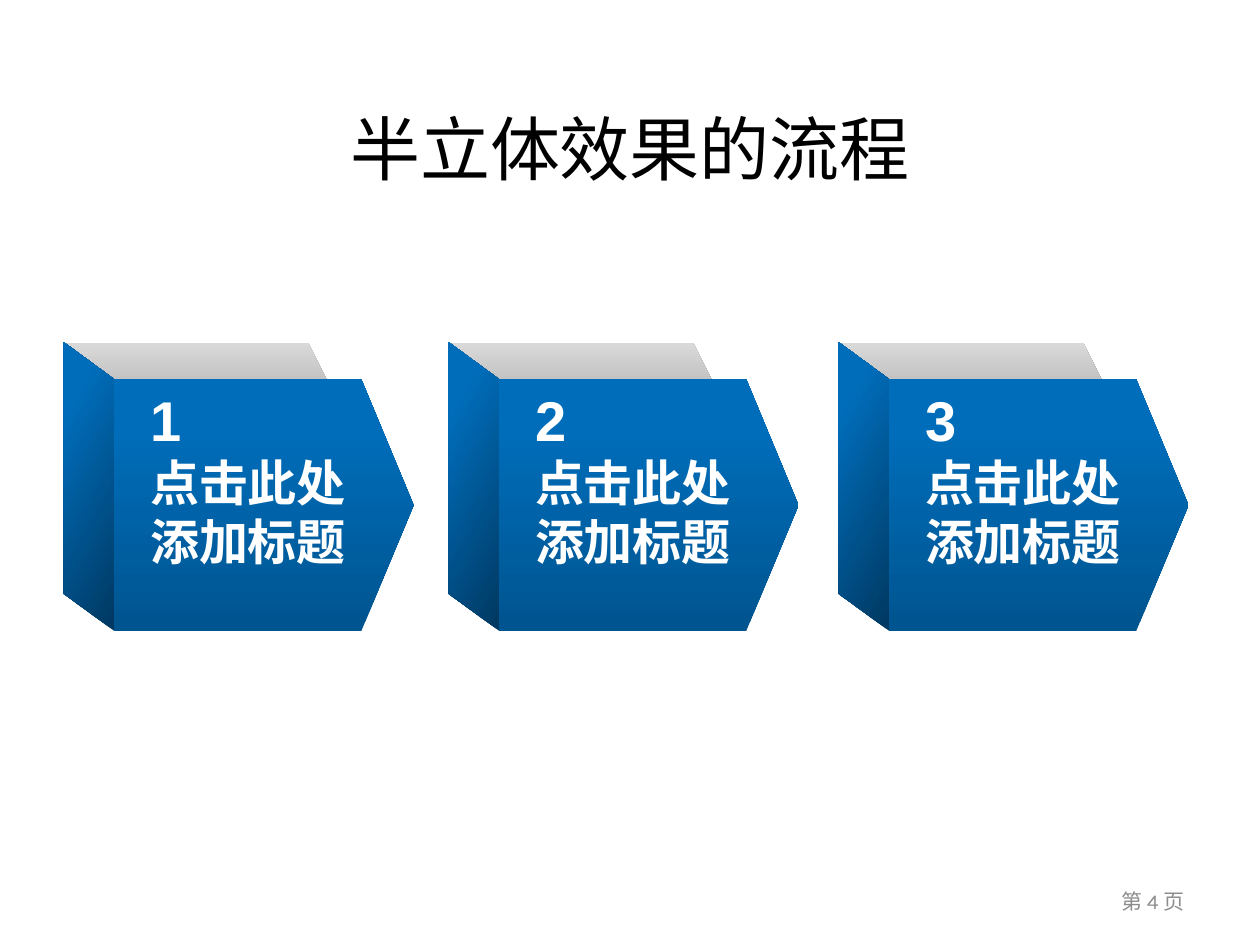
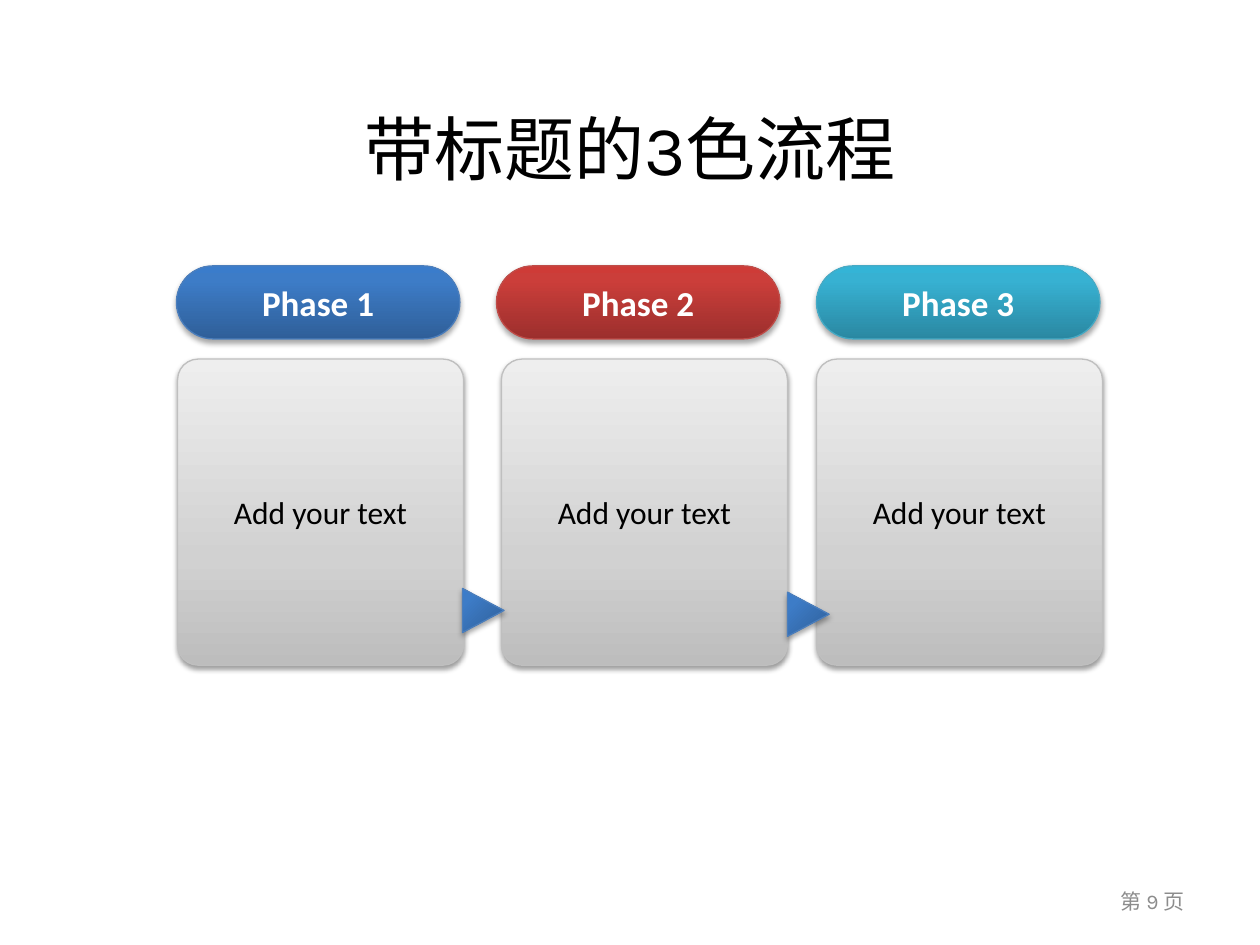
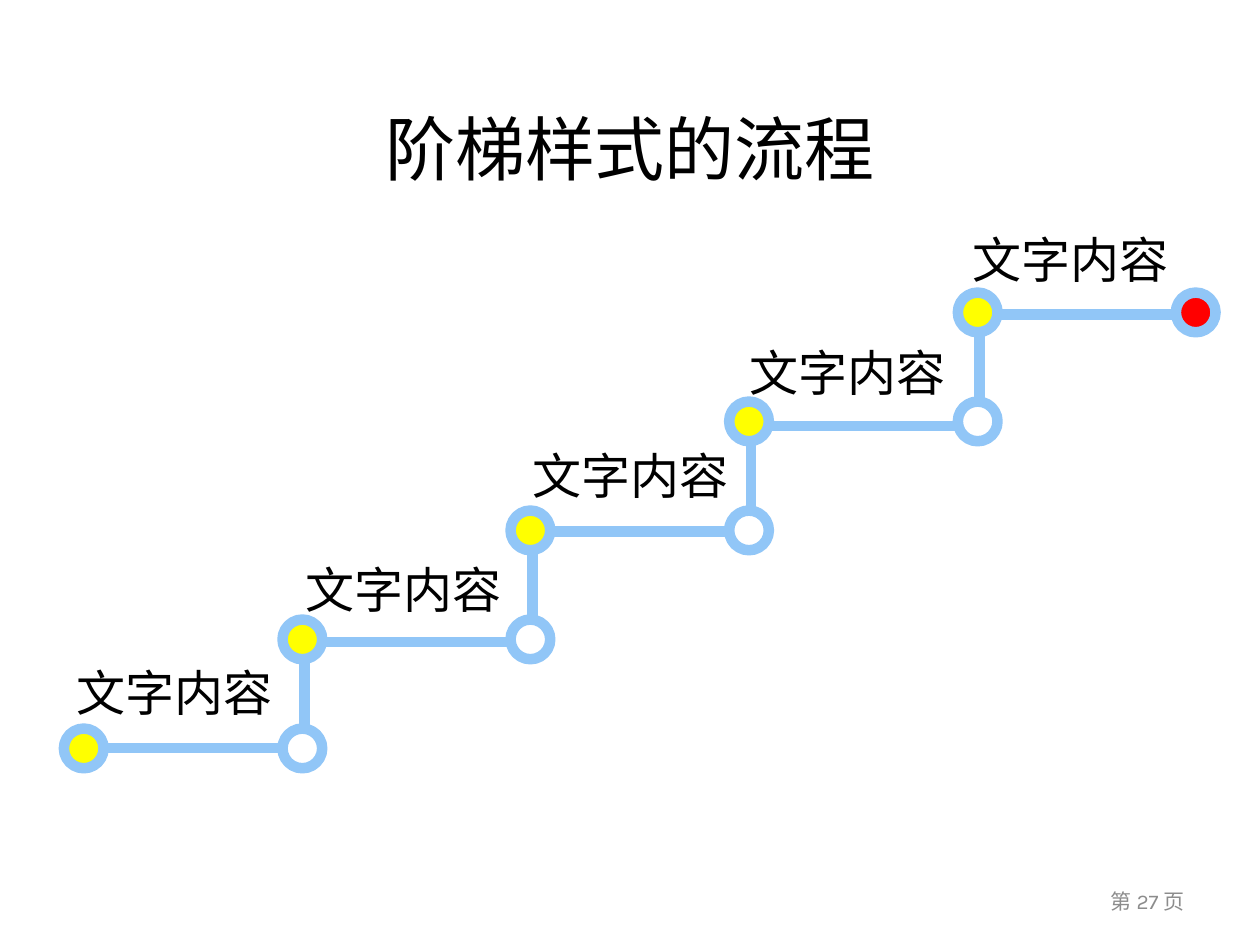
from lxml.etree import SubElement
from pptx import Presentation
from pptx.dml.color import RGBColor
from pptx.enum.shapes import MSO_CONNECTOR, MSO_SHAPE
from pptx.enum.text import MSO_ANCHOR, MSO_AUTO_SIZE, PP_ALIGN
from pptx.oxml.ns import qn
from pptx.util import Inches, Pt

deck = Presentation()
deck.slide_width, deck.slide_height = Inches(10), Inches(7.5)
COLUMN, ROW = deck.slide_width // 100, deck.slide_height // 75

rgb = RGBColor.from_string
TITLE = {"name": "Karla", "size": Pt(40)}
FOOTER = {"name": "Karla", "size": Pt(12)}
NUMBER = {"name": "Arial", "size": Pt(32), "bold": True}
CAPTION = {"name": "Arial", "size": Pt(28), "bold": True}
PHASE = {"name": "Calibri", "size": Pt(20), "bold": True}
BODY = {"name": "Calibri", "size": Pt(18)}
LABEL = {"name": "Cambria", "size": Pt(28)}

LID = [(0, "808080"), (80, "BFBFBF"), (100, "D9D9D9")]
FRONT = [(0, "00548F"), (80, "006DBA"), (100, "006DBB")]
SIDE = [(0, "003860"), (80, "006DBA"), (100, "006DBB")]
BLUE = [(0, "2F5F99"), (80, "3D7CC7"), (100, "3A7CCB")]
RED = [(0, "9C2F2D"), (80, "CB3E3A"), (100, "CE3B37")]
TEAL = [(0, "2A88A2"), (80, "37B1D2"), (100, "34B4D6")]
GREY = [(0, "BDBDBD"), (35, "D1D1D1"), (100, "EEEEEE")]
BLUE_EDGE, RAIL = "4B7EBC", "91C6F7"
PILL_SHADOW, CARD_SHADOW = (35, 1.8), (38, 1.6)


def add_box(page, kind, area, fill, angle=270, edge=None, weight=0.75,
            shadow=None, adjust=None, rotation=0):
    left, top, width, height = area
    box = page.shapes.add_shape(kind, int(left * COLUMN), int(top * ROW),
                                int(width * COLUMN), int(height * ROW))
    box.rotation = rotation
    if adjust is not None:
        box.adjustments[0] = adjust
    if isinstance(fill, str):
        box.fill.solid()
        box.fill.fore_color.rgb = rgb(fill)
    else:
        box.fill.gradient()
        box.fill.gradient_angle = 360 - angle
        stops = box.element.spPr.find(".//" + qn("a:gsLst"))
        stops.clear()
        for position, colour in fill:
            stop = SubElement(stops, qn("a:gs"), pos=str(position * 1000))
            SubElement(stop, qn("a:srgbClr"), val=colour)
    if edge:
        box.line.color.rgb = rgb(edge)
        box.line.width = Pt(weight)
    else:
        box.line.fill.background()
    box.shadow.inherit = False
    if shadow:
        opacity, distance = shadow
        effects = box.element.spPr.find(qn("a:effectLst"))
        outer = SubElement(effects, qn("a:outerShdw"), blurRad=str(Pt(3.1)),
                           dist=str(Pt(distance)), dir="5400000", rotWithShape="0")
        colour = SubElement(outer, qn("a:srgbClr"), val="000000")
        SubElement(colour, qn("a:alpha"), val=str(opacity * 1000))
    return box


def write(box, lines, colour, align=PP_ALIGN.CENTER, anchor=MSO_ANCHOR.MIDDLE,
          wrap=True, margin=0):
    frame = box.text_frame
    frame.word_wrap, frame.vertical_anchor = wrap, anchor
    for index, (text, style) in enumerate(lines):
        para = frame.add_paragraph() if index else frame.paragraphs[0]
        para.alignment = align
        if margin:
            properties = para._p.get_or_add_pPr()
            properties.set("marL", str(Inches(margin)))
            properties.set("indent", "0")
        span = para.add_run()
        span.text = text
        span.font.color.rgb = rgb(colour)
        for name, value in style.items():
            setattr(span.font, name, value)


pages = []
for title, number in [("半立体效果的流程", 4), ("带标题的3色流程", 9), ("阶梯样式的流程", 27)]:
    page = deck.slides.add_slide(deck.slide_layouts[6])
    heading = page.shapes.add_textbox(5 * COLUMN, int(7.8 * ROW), 90 * COLUMN, int(7.8 * ROW))
    write(heading, [(title, TITLE)], "000000")
    footer = page.shapes.add_textbox(int(71.7 * COLUMN), int(69.5 * ROW),
                                     int(23.3 * COLUMN), 4 * ROW)
    write(footer, [(f"第 {number} 页", FOOTER)], "8C8C8C", PP_ALIGN.RIGHT)
    pages.append(page)
solid_page, phase_page, stair_page = pages

for number, left in enumerate([5.1, 15.65 + 20, 66.6], 1):
    add_box(solid_page, MSO_SHAPE.PENTAGON, (left, 27.2, 23.7, 17.4), LID, adjust=0.249)
    front = add_box(solid_page, MSO_SHAPE.PENTAGON, (left + 3.93, 30.1, 23.8, 20),
                    FRONT, adjust=0.208)
    write(front, [(str(number), NUMBER), ("点击此处添加标题", CAPTION)], "FFFFFF",
          PP_ALIGN.LEFT, MSO_ANCHOR.TOP, margin=0.19)
    add_box(solid_page, MSO_SHAPE.PARALLELOGRAM, (left - 9.5, 36.6, 22.9, 4), SIDE,
            angle=300, adjust=0.733, rotation=270)

phases = [(BLUE, BLUE_EDGE), (RED, "BF4C48"), (TEAL, "46AAC5")]
for index, (fill, edge) in enumerate(phases):
    pill = add_box(phase_page, MSO_SHAPE.ROUNDED_RECTANGLE, (14 + 25.4 * index, 21.1, 22.5, 5.8),
                   fill, edge=edge, shadow=PILL_SHADOW, adjust=0.5)
    write(pill, [(f"Phase {index + 1}", PHASE)], "FFFFFF", wrap=False)
for left in [14.1, 39.8, 64.8]:
    card = add_box(phase_page, MSO_SHAPE.ROUNDED_RECTANGLE, (left, 28.5, 22.7, 24.3),
                   GREY, edge="BFBFBF", shadow=CARD_SHADOW, adjust=0.072)
    write(card, [("Add your text", BODY)], "000000")
for left, top in [(36.6, 46.8), (62.4, 47.1)]:
    add_box(phase_page, MSO_SHAPE.FLOWCHART_EXTRACT, (left, top, 3.5, 3.3), BLUE,
            angle=135, edge=BLUE_EDGE, shadow=PILL_SHADOW, rotation=90)

NODE, RISE, BOTTOM = 3.15, 8.65, 59.4
node_x = [6.65, 24, 42.1, 59.45, 77.6, 94.9]
rail_y = [59.35, 50.95, 42.2, 33.8, 24.95]
label_corners = [(5.1, 52.1), (23.3, 43.9), (41.3, 34.9), (58.5, 26.7), (76.2, 17.7)]
last = len(rail_y) - 1
for step, (rail, (label_left, label_top)) in enumerate(zip(rail_y, label_corners)):
    start, end = node_x[step:step + 2]
    level = BOTTOM - RISE * step
    tracks = [(start, rail, end, rail)]
    if step < last:
        tracks.append((end + 0.15, level, end + 0.15, level - RISE))
    for x1, y1, x2, y2 in tracks:
        track = stair_page.shapes.add_connector(
            MSO_CONNECTOR.STRAIGHT, int(x1 * COLUMN), int(y1 * ROW),
            int(x2 * COLUMN), int(y2 * ROW))
        track.line.color.rgb = rgb(RAIL)
        track.line.width = Pt(6)
        SubElement(track.element.spPr, qn("a:effectLst"))
    label = stair_page.shapes.add_textbox(int(label_left * COLUMN), int(label_top * ROW),
                                          int(17.7 * COLUMN), int(5.7 * ROW))
    write(label, [("文字内容", LABEL)], "000000", PP_ALIGN.LEFT, MSO_ANCHOR.TOP, wrap=False)
    label.text_frame.auto_size = MSO_AUTO_SIZE.SHAPE_TO_FIT_TEXT
    for x, fill in [(start, "FFFF00"), (end, "FF0000" if step == last else "FFFFFF")]:
        add_box(stair_page, MSO_SHAPE.OVAL, (x - NODE / 2, level - NODE / 2, NODE, NODE),
                fill, edge=RAIL, weight=6)

deck.save("out.pptx")
